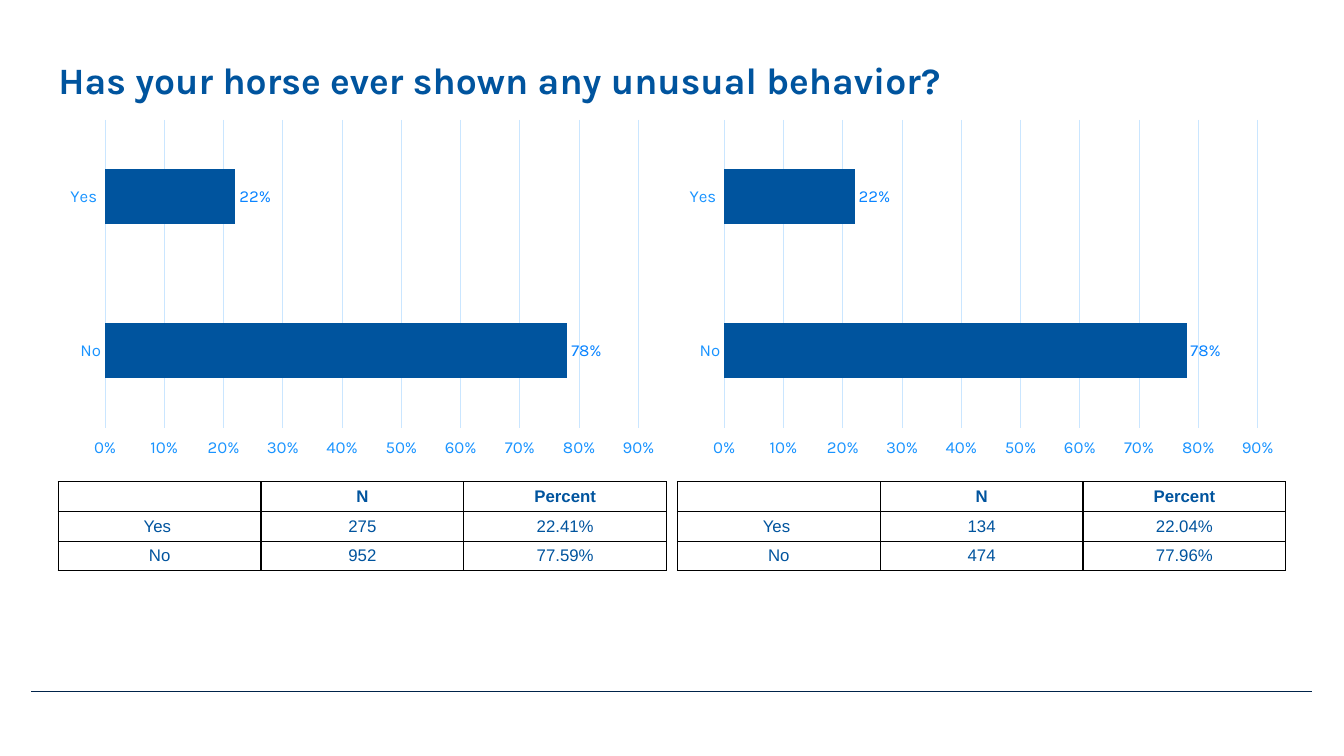
from dataclasses import dataclass

from lxml import etree
from pptx import Presentation
from pptx.chart.data import CategoryChartData
from pptx.dml.color import RGBColor
from pptx.enum.chart import (
    XL_CHART_TYPE as ChartType,
    XL_LABEL_POSITION as LabelPosition,
    XL_TICK_LABEL_POSITION as TickLabelPosition,
    XL_TICK_MARK as TickMark,
)
from pptx.enum.shapes import MSO_CONNECTOR as Connector
from pptx.enum.text import MSO_ANCHOR as Anchor, MSO_AUTO_SIZE as AutoSize, PP_ALIGN as Align
from pptx.oxml.ns import qn
from pptx.slide import Slide
from pptx.util import Pt

NAVY = RGBColor(0x00, 0x54, 0x9E)
SKY = RGBColor(0x1A, 0x94, 0xFF)
LABEL_BLUE = RGBColor(0x0A, 0x84, 0xFF)
PALE_BLUE = RGBColor(0xCA, 0xE6, 0xFF)
RULE_NAVY = RGBColor(0x00, 0x23, 0x4A)
BLACK = RGBColor(0x00, 0x00, 0x00)

HEADING_FONT = "Karla"
TABLE_FONT = "Arial"

# Layout, in points
LEFT = 41.6
PANEL_WIDTH = 434.6
PANEL_STEP = 442.3
CHART_TOP, CHART_HEIGHT = 80.6, 251.3
TABLE_TOP, ROW_HEIGHT = 344, 20.9

ANSWERS = ("Yes ", "No")


@dataclass(frozen=True)
class Survey:
    counts: tuple[int, int]

    def shares(self) -> list[float]:
        return [count / sum(self.counts) for count in self.counts]

    def rows(self) -> list[tuple[str, str, str]]:
        answers = zip(ANSWERS, self.counts, self.shares())
        return [("", "N", "Percent")] + [
            (answer, str(count), f"{share:.2%}") for answer, count, share in answers
        ]


SURVEYS = (Survey((275, 952)), Survey((134, 474)))


def style_font(font, *, name: str = HEADING_FONT, size: float = 12,
               color: RGBColor = NAVY, bold: bool = False) -> None:
    font.name = name
    font.size = Pt(size)
    font.color.rgb = color
    font.bold = bold


def write(frame, text: str, *, align: Align = Align.LEFT, **font_format) -> None:
    paragraph = frame.paragraphs[0]
    paragraph.alignment = align
    run = paragraph.add_run()
    run.text = text
    style_font(run.font, **font_format)


def style_line(line, color: RGBColor, width: float) -> None:
    line.color.rgb = color
    line.width = Pt(width)


def add_title(slide: Slide, text: str) -> None:
    title = slide.shapes.title
    title.left, title.top, title.width, title.height = Pt(LEFT), Pt(40.4), Pt(692), Pt(32.4)
    frame = title.text_frame
    frame.margin_left = frame.margin_right = frame.margin_top = frame.margin_bottom = 0
    frame.vertical_anchor = Anchor.BOTTOM
    frame.word_wrap = True
    frame.auto_size = AutoSize.SHAPE_TO_FIT_TEXT
    write(frame, text, size=26.6, bold=True)


def add_footer_rule(slide: Slide) -> None:
    rule = slide.shapes.add_connector(Connector.STRAIGHT, Pt(22.3), Pt(494), Pt(937.4), Pt(494))
    style_line(rule.line, RULE_NAVY, 0.5)
    etree.SubElement(rule._element.spPr, qn("a:effectLst"))


def add_share_chart(slide: Slide, survey: Survey, left: float) -> None:
    chart_data = CategoryChartData(number_format="0%")
    chart_data.categories = ANSWERS
    chart_data.add_series("Series 1", [round(share, 2) for share in survey.shares()])
    chart = slide.shapes.add_chart(
        ChartType.BAR_CLUSTERED, Pt(left), Pt(CHART_TOP), Pt(PANEL_WIDTH), Pt(CHART_HEIGHT), chart_data
    ).chart
    chart.has_legend = False
    chart.has_title = False
    style_font(chart.font, size=10)

    # Bars and their labels
    plot = chart.plots[0]
    plot.gap_width = 182
    plot.vary_by_categories = False
    bars = plot.series[0].format.fill
    bars.solid()
    bars.fore_color.rgb = NAVY
    plot.has_data_labels = True
    labels = plot.data_labels
    labels.show_value = True
    labels.number_format, labels.number_format_is_linked = "0%", False
    labels.position = LabelPosition.OUTSIDE_END
    style_font(labels.font, color=LABEL_BLUE)

    # Axes
    answer_axis, share_axis = chart.category_axis, chart.value_axis
    for axis in (answer_axis, share_axis):
        axis.major_tick_mark = axis.minor_tick_mark = TickMark.NONE
        style_font(axis.tick_labels.font, color=SKY)
    answer_axis.reverse_order = True
    answer_axis.has_major_gridlines = False
    style_line(answer_axis.format.line, PALE_BLUE, 0.75)
    share_axis.minimum_scale, share_axis.maximum_scale, share_axis.major_unit = 0, 0.9, 0.1
    share_axis.tick_label_position = TickLabelPosition.HIGH
    share_axis.tick_labels.number_format = "0%"
    share_axis.tick_labels.number_format_is_linked = False
    share_axis.format.line.fill.background()
    share_axis.has_major_gridlines = True
    style_line(share_axis.major_gridlines.format.line, PALE_BLUE, 0.75)


def add_borders(cell) -> None:
    properties = cell._tc.get_or_add_tcPr()
    for side in ("a:lnL", "a:lnR", "a:lnT", "a:lnB"):
        border = etree.SubElement(properties, qn(side), w=str(Pt(1)))
        fill = etree.SubElement(border, qn("a:solidFill"))
        etree.SubElement(fill, qn("a:srgbClr"), val=str(BLACK))


def add_count_table(slide: Slide, survey: Survey, left: float) -> None:
    rows = survey.rows()
    table = slide.shapes.add_table(
        len(rows), len(rows[0]), Pt(left), Pt(TABLE_TOP), Pt(PANEL_WIDTH), Pt(ROW_HEIGHT * len(rows))
    ).table
    table.first_row = table.horz_banding = False
    for row_index, values in enumerate(rows):
        table.rows[row_index].height = Pt(ROW_HEIGHT)
        for column_index, value in enumerate(values):
            cell = table.cell(row_index, column_index)
            cell.margin_top = cell.margin_bottom = 0
            cell.vertical_anchor = Anchor.MIDDLE
            add_borders(cell)
            cell.fill.background()
            write(cell.text_frame, value, align=Align.CENTER, name=TABLE_FONT, bold=row_index == 0)


def main() -> None:
    presentation = Presentation()
    presentation.slide_width, presentation.slide_height = Pt(960), Pt(540)
    title_only = presentation.slide_layouts[5]
    slide = presentation.slides.add_slide(title_only)

    add_footer_rule(slide)
    add_title(slide, "Has your horse ever shown any unusual behavior?")
    for index, survey in enumerate(SURVEYS):
        left = LEFT + index * PANEL_STEP
        add_share_chart(slide, survey, left)
        add_count_table(slide, survey, left)
    presentation.save("out.pptx")


if __name__ == "__main__":
    main()
